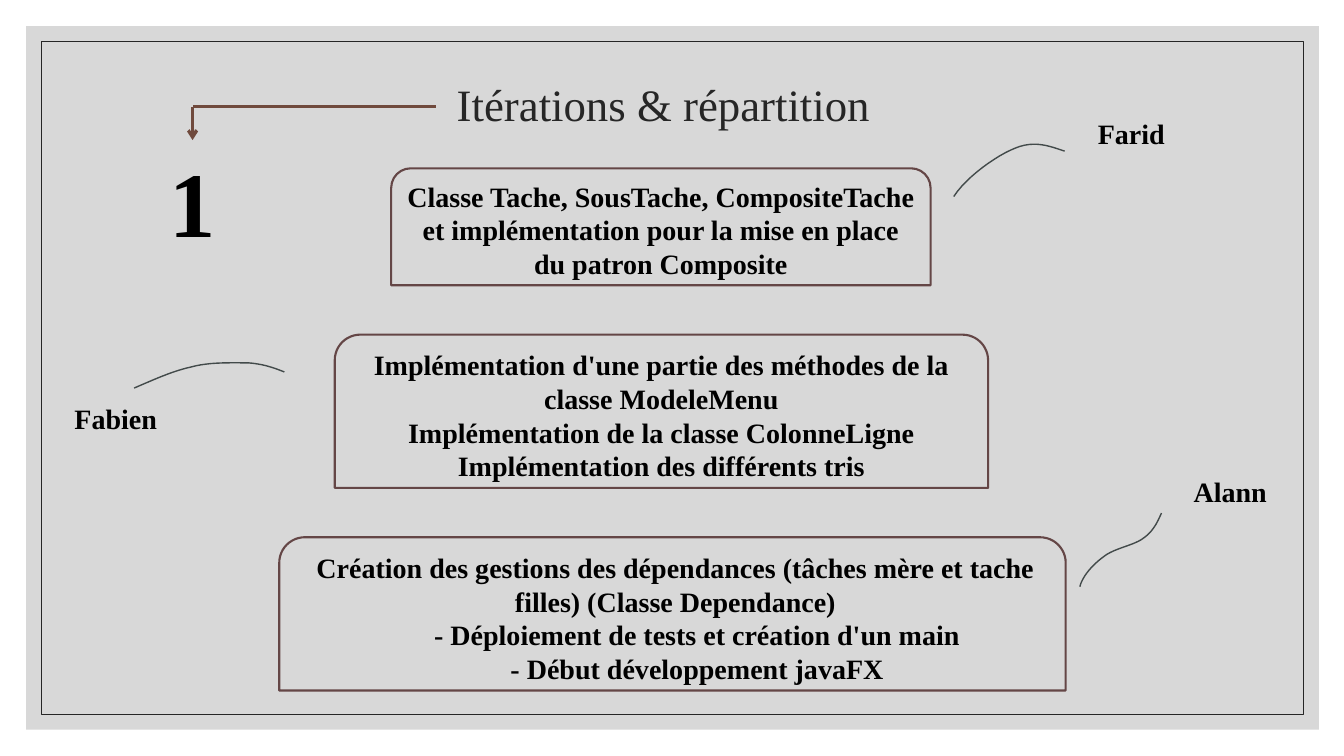
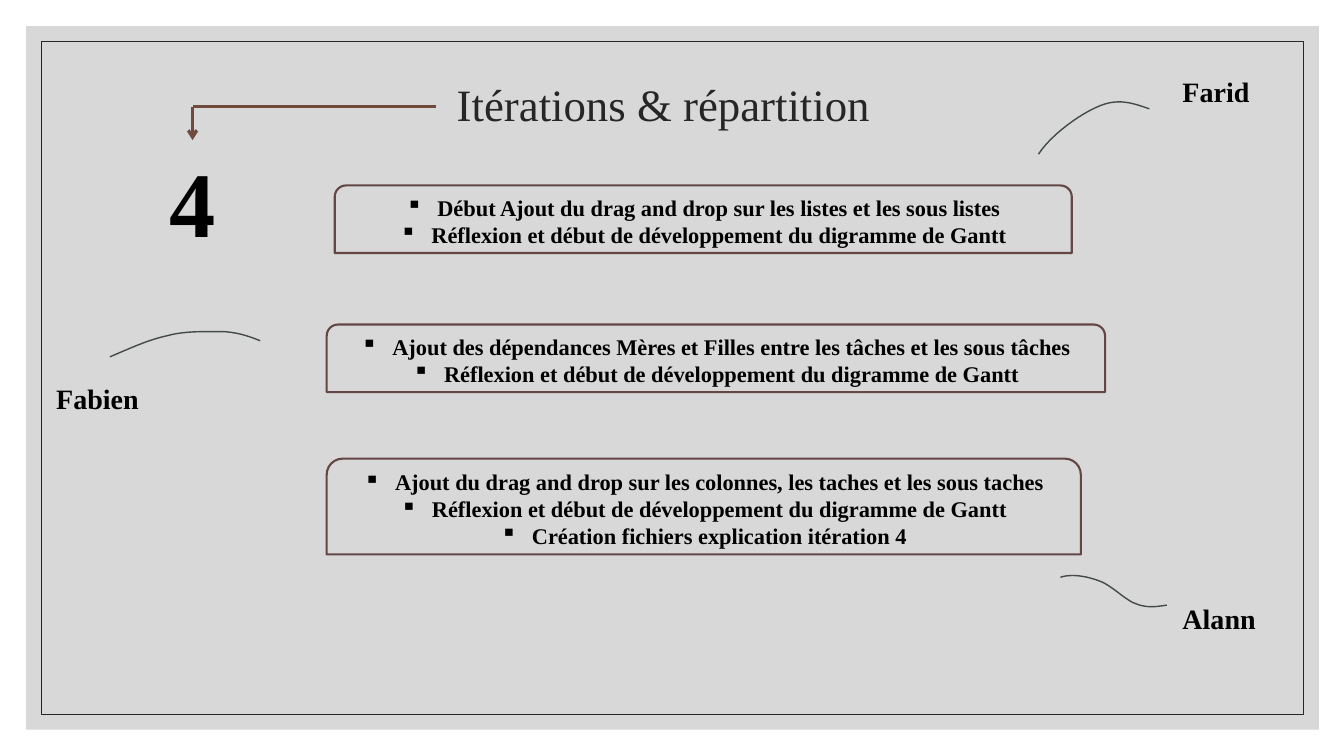
"""Build two slides that share out the project iterations among three people."""
from dataclasses import dataclass
from lxml.etree import SubElement
from pptx import Presentation
from pptx.dml.color import RGBColor
from pptx.enum.shapes import MSO_CONNECTOR, MSO_SHAPE
from pptx.enum.text import MSO_ANCHOR, PP_ALIGN
from pptx.oxml.ns import qn
from pptx.util import Inches, Pt


@dataclass(frozen=True)
class Theme:
    font: str = "Times New Roman"
    ink: str = "000000"
    dark: str = "262626"
    panel: str = "BFBFBF"
    box: str = "644646"
    arrow: str = "704A3D"
    curve: str = "424A4A"
    title: int = 32
    number: int = 66
    name: int = 20


theme = Theme()


def write(shape, lines, size=theme.name, color=theme.ink, bold=True,
          align=PP_ALIGN.LEFT, anchor=MSO_ANCHOR.TOP, inset=0.1,
          spacing=None, bullet=None, indents=()):
    frame = shape.text_frame
    frame.word_wrap = True
    frame.vertical_anchor = anchor
    frame.margin_left = Inches(inset)
    frame.margin_right = Inches(min(inset, 0.1))
    for row, line in enumerate(lines):
        para = frame.paragraphs[0] if row == 0 else frame.add_paragraph()
        para.alignment = align
        if spacing:
            para.line_spacing = spacing
        run = para.add_run()
        run.text = line
        font = run.font
        font.name, font.size, font.bold = theme.font, Pt(size), bold
        font.color.rgb = RGBColor.from_string(color)
        props = para._p.get_or_add_pPr()
        if bullet:
            props.set("marL", str(Inches(0.31)))
            props.set("indent", str(-Inches(0.31)))
            SubElement(props, qn("a:buChar")).set("char", bullet)
        elif indents:
            props.set("marL", str(Inches(indents[row])))


def stroke(shape, color, width):
    shape.line.color.rgb = RGBColor.from_string(color)
    shape.line.width = Pt(width)


curves = {
    "Farid": [(1.1, 0.07), (0.95, 0.02), (0.8, -0.04), (0.61, 0.04),
              (0.43, 0.11), (0.13, 0.32), (0, 0.52)],
    "Fabien": [(1.49, 0.09), (1.39, 0.05), (1.28, 0.01), (1.13, 0),
               (0.97, 0), (0.75, -0.01), (0.57, 0.04),
               (0.38, 0.08), (0.19, 0.17), (0, 0.25)],
    "Alann": [(0.81, 0), (0.77, 0.09), (0.73, 0.18), (0.63, 0.25),
              (0.54, 0.32), (0.34, 0.35), (0.24, 0.43),
              (0.13, 0.51), (0.03, 0.62), (0, 0.73)],
}
gantt = "Réflexion et début de développement du digramme de Gantt"
pages = [
    dict(
        number="1", size=20, bullet=None,
        boxes=[
            ((3.88, 1.67, 5.35, 1.16), (), [
                "Classe Tache, SousTache, CompositeTache et implémentation "
                "pour la mise en place du patron Composite"]),
            ((3.32, 3.32, 6.48, 1.52), (), [
                "Implémentation d'une partie des méthodes de la classe ModeleMenu",
                "Implémentation de la classe ColonneLigne",
                "Implémentation des différents tris"]),
            ((2.77, 5.33, 7.8, 1.52), (0.06, 0.49, 0.49), [
                "Création des gestions des dépendances (tâches mère et tache "
                "filles) (Classe Dependance)",
                "- Déploiement de tests et création d'un main",
                "- Début développement javaFX"]),
        ],
        people=[("Farid", (10.79, 1.11), (9.46, 1.43), 0),
                ("Fabien", (0.64, 3.93), (1.33, 3.6), 0),
                ("Alann", (11.74, 4.66), (10.71, 5.09), 0)],
    ),
    dict(
        number="4", size=16, bullet="▪",
        boxes=[
            ((3.32, 1.84, 7.31, 0.67), (), [
                "Début Ajout du drag and drop sur les listes et les sous listes",
                gantt]),
            ((3.24, 3.22, 7.72, 0.67), (), [
                "Ajout des dépendances Mères et Filles entre les tâches et les "
                "sous tâches",
                gantt]),
            ((3.24, 4.55, 7.48, 0.95), (), [
                "Ajout du drag and drop sur les colonnes, les taches et les "
                "sous taches",
                gantt,
                "Création fichiers explication itération 4"]),
        ],
        people=[("Farid", (11.63, 0.69), (10.3, 1.01), 0),
                ("Fabien", (0.46, 3.74), (1.09, 3.29), 0),
                ("Alann", (11.63, 5.92), (10.64, 5.5), 56.7)],
    ),
]

deck = Presentation()
deck.slide_width, deck.slide_height = Inches(13.33), Inches(7.5)
blank = deck.slide_layouts[6]

for page in pages:
    slide = deck.slides.add_slide(blank)
    shapes = slide.shapes

    panel = shapes.add_shape(MSO_SHAPE.RECTANGLE, *map(Inches, (0.26, 0.26, 12.82, 6.98)))
    panel.shadow.inherit = False
    panel.fill.solid()
    panel.fill.fore_color.rgb = RGBColor.from_string(theme.panel)
    tint = panel._element.spPr.find(qn("a:solidFill"))[0]
    SubElement(tint, qn("a:alpha")).set("val", "60000")
    panel.line.fill.background()

    frame = shapes.add_shape(MSO_SHAPE.RECTANGLE, *map(Inches, (0.41, 0.41, 12.52, 6.68)))
    frame.shadow.inherit = False
    frame.fill.background()
    stroke(frame, theme.dark, 0.5)

    title = shapes.add_textbox(*map(Inches, (4.32, 0.8, 4.47, 0.53)))
    write(title, ["Itérations & répartition"], size=theme.title, color=theme.dark,
          bold=False, anchor=MSO_ANCHOR.MIDDLE, inset=0.21, spacing=0.9)
    number = shapes.add_textbox(*map(Inches, (1.58, 1.39, 0.66, 1.21)))
    write(number, [page["number"]], size=theme.number)

    for place, indents, lines in page["boxes"]:
        box = shapes.add_shape(MSO_SHAPE.ROUND_2_SAME_RECTANGLE, *map(Inches, place))
        box.shadow.inherit = False
        box.fill.background()
        stroke(box, theme.box, 1.5)
        write(box, lines, size=page["size"], align=PP_ALIGN.CENTER,
              anchor=MSO_ANCHOR.MIDDLE, inset=0.08, bullet=page["bullet"],
              indents=indents)

    for name, spot, origin, turn in page["people"]:
        nodes = curves[name]
        points = []
        for first in range(0, len(nodes) - 1, 3):
            for step in range(1, 13):
                t = step / 12
                parts = ((1 - t) ** 3, 3 * t * (1 - t) ** 2, 3 * t * t * (1 - t), t ** 3)
                points.append(tuple(
                    Inches(sum(part * node[axis] for part, node in
                               zip(parts, nodes[first:first + 4])))
                    for axis in (0, 1)))
        pen = shapes.build_freeform(*map(Inches, nodes[0]))
        pen.add_line_segments(points, close=False)
        curve = pen.convert_to_shape(*map(Inches, origin))
        curve.shadow.inherit = False
        curve.fill.background()
        curve.rotation = turn
        stroke(curve, theme.curve, 1)
        label = shapes.add_textbox(*map(Inches, (*spot, 1.27, 0.44)))
        write(label, [name])

    for ends in ((4.32, 1.06, 1.91, 1.06), (1.91, 1.06, 1.91, 1.39)):
        arrow = shapes.add_connector(MSO_CONNECTOR.STRAIGHT, *map(Inches, ends))
        stroke(arrow, theme.arrow, 2.25)
        SubElement(arrow._element.spPr, qn("a:effectLst"))
    SubElement(arrow.line._get_or_add_ln(), qn("a:tailEnd")).set("type", "arrow")

deck.save("out.pptx")
